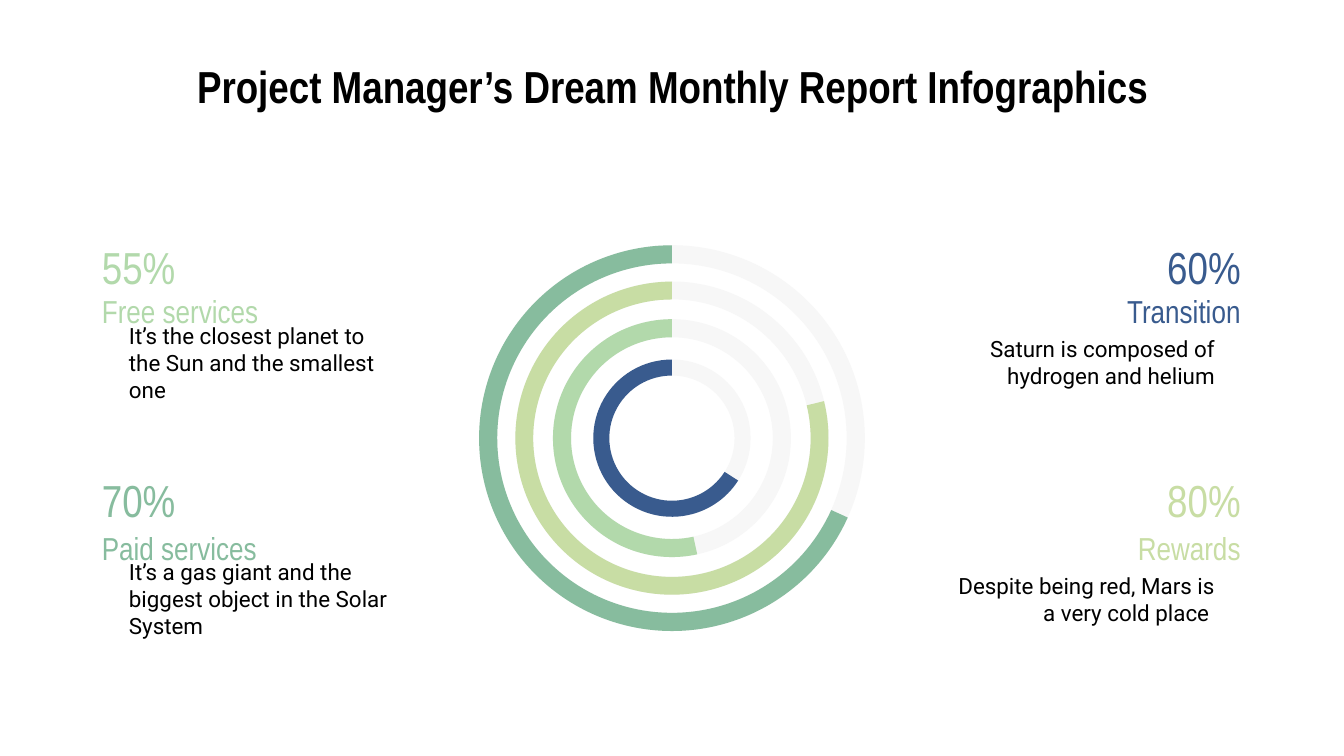
from pptx import Presentation
from pptx.dml.color import RGBColor
from pptx.enum.shapes import MSO_SHAPE as Shape
from pptx.enum.text import MSO_ANCHOR as Anchor, PP_ALIGN as Align
from pptx.util import Inches, Pt

COLORS = {
    "black": "000000",
    "track": "F7F7F7",
    "teal": "87BC9E",
    "lime": "C8DDA4",
    "green": "B2D9AB",
    "blue": "395B8E",
}
HEADING_FONT = "Arial Narrow"
BODY_FONT = "Roboto"

CENTER_X, CENTER_Y = 5, 3.26
ARC_END = 270  # every arc ends at twelve o'clock

# diameter, ring thickness, arc start in degrees, rotation, color
RINGS = [
    (2.87, 0.047, 24.3, 296.5, "teal"),
    (2.33, 0.057, 346.3, 294.9, "lime"),
    (1.77, 0.076, 77.7, 289.6, "green"),
    (1.17, 0.102, 32.6, 284.4, "blue"),
]

# Tops of the percentage, label and description in each row
ROWS = {"upper": (1.75, 2.08, 2.42), "lower": (3.48, 3.84, 4.18)}

# side, row, percentage, label, description, color
METRICS = [
    ("left", "upper", "55%", "Free services",
     "It’s the closest planet to the Sun and the smallest one", "green"),
    ("left", "lower", "70%", "Paid services",
     "It’s a gas giant and the biggest object in the Solar System", "teal"),
    ("right", "upper", "60%", "Transition",
     "Saturn is composed of hydrogen and helium", "blue"),
    ("right", "lower", "80%", "Rewards",
     "Despite being red, Mars is a very cold place ", "lime"),
]


def add_text(slide, text, box, size, font, color, align,
             side_inset=0.1, bold=False, anchor=Anchor.MIDDLE):
    shape = slide.shapes.add_textbox(*map(Inches, box))
    frame = shape.text_frame
    frame.word_wrap = True
    frame.vertical_anchor = anchor
    frame.margin_left = frame.margin_right = Inches(side_inset)
    frame.margin_top = frame.margin_bottom = Inches(0.1)
    paragraph = frame.paragraphs[0]
    paragraph.text = text
    paragraph.alignment = align
    paragraph.font.size = Pt(size)
    paragraph.font.name = font
    paragraph.font.bold = bold
    paragraph.font.color.rgb = RGBColor.from_string(COLORS[color])


def add_round_shape(slide, kind, diameter, color):
    shape = slide.shapes.add_shape(
        kind, Inches(CENTER_X - diameter / 2), Inches(CENTER_Y - diameter / 2),
        Inches(diameter), Inches(diameter))
    shape.shadow.inherit = False
    shape.fill.solid()
    shape.fill.fore_color.rgb = RGBColor.from_string(COLORS[color])
    shape.line.fill.background()
    return shape


def add_track(slide, diameter, thickness):
    track = add_round_shape(slide, Shape.DONUT, diameter, "track")
    track.adjustments[0] = thickness


def add_arc(slide, diameter, thickness, start, rotation, color):
    arc = add_round_shape(slide, Shape.BLOCK_ARC, diameter, color)
    arc.rotation = rotation
    # Angles are stored in 60000ths of a degree, adjustments in 100000ths
    for index, angle in enumerate((start, ARC_END)):
        arc.adjustments[index] = (angle - rotation) % 360 * 0.6
    arc.adjustments[2] = thickness


def add_metric(slide, side, row, percentage, label, description, color):
    on_left = side == "left"
    align = Align.LEFT if on_left else Align.RIGHT
    heading_left, body_left = (0.66, 0.66) if on_left else (7.23, 6.77)
    percentage_top, label_top, body_top = ROWS[row]
    add_text(slide, description, (body_left, body_top, 2.57, 0.55),
             12, BODY_FONT, "black", align, side_inset=0.3)
    add_text(slide, label, (heading_left, label_top, 2.1, 0.47),
             17, HEADING_FONT, color, align)
    add_text(slide, percentage, (heading_left, percentage_top, 2.1, 0.47),
             24, HEADING_FONT, color, align)


def main():
    presentation = Presentation()
    presentation.slide_width = Inches(10)
    presentation.slide_height = Inches(10 * 9 / 16)
    slide = presentation.slides.add_slide(presentation.slide_layouts[6])

    # Title
    add_text(slide, "Project Manager’s Dream Monthly Report Infographics",
             (0.2, 0.34, 9.61, 0.63), 24, HEADING_FONT, "black", Align.CENTER,
             bold=True, anchor=Anchor.TOP)

    # Concentric progress rings: tracks first, arcs on top
    for diameter, thickness, *_ in RINGS:
        add_track(slide, diameter, thickness)
    for ring in RINGS:
        add_arc(slide, *ring)

    # Metrics on both sides
    for metric in METRICS:
        add_metric(slide, *metric)

    presentation.save("out.pptx")


if __name__ == "__main__":
    main()
